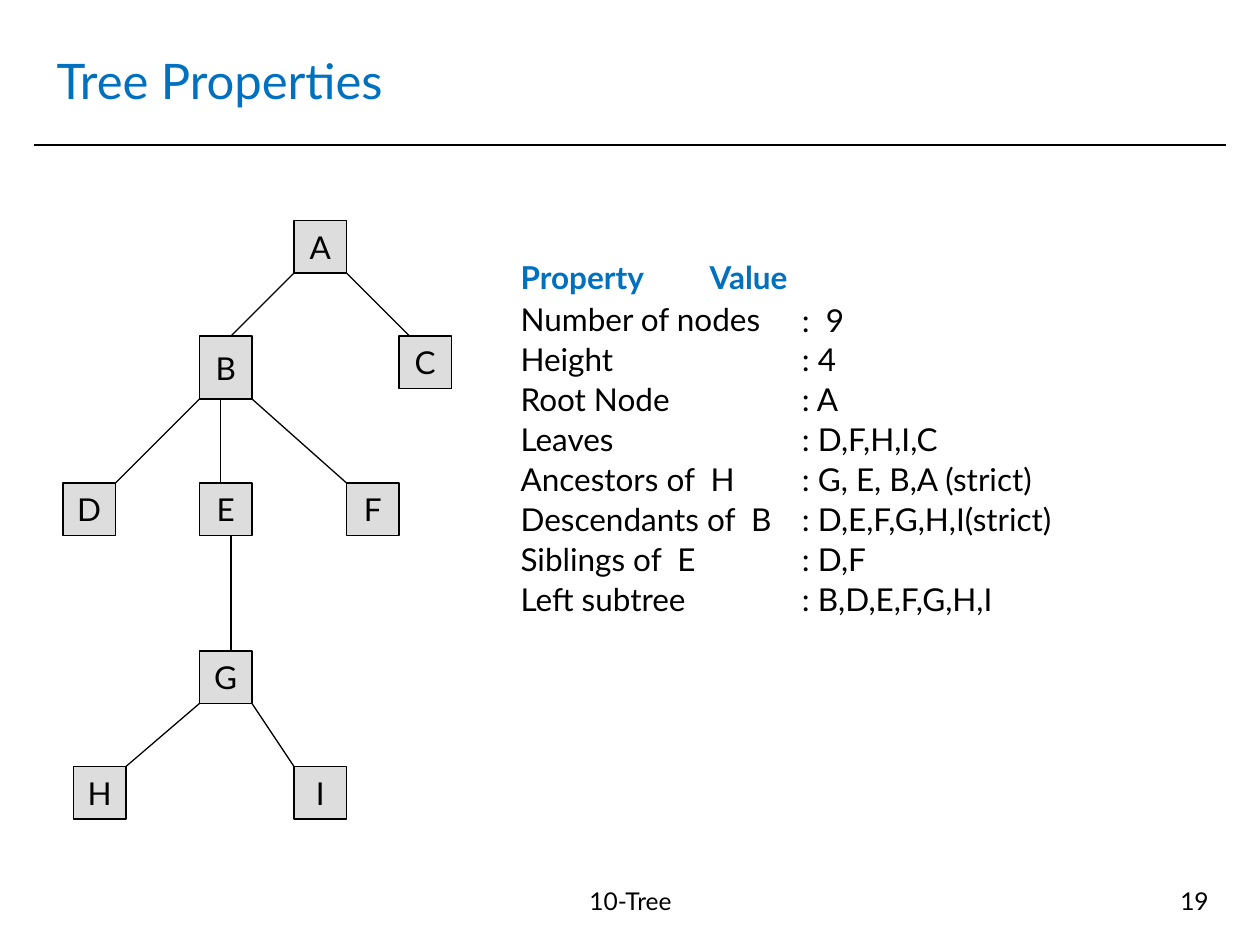
from typing import NamedTuple

from lxml.etree import SubElement
from pptx import Presentation
from pptx.dml.color import RGBColor
from pptx.enum.shapes import MSO_CONNECTOR, MSO_SHAPE
from pptx.enum.text import MSO_ANCHOR, PP_ALIGN
from pptx.oxml.ns import qn
from pptx.util import Emu, Pt

SCALE = 7620
FONT = "Lato"
COLORS = {"ink": "000000", "head": "0070C0", "node": "DDDDDD"}


class Node(NamedTuple):
    name: str
    x: int
    y: int
    h: int = 50


class Edge(NamedTuple):
    x1: int
    y1: int
    x2: int
    y2: int


class Line(NamedTuple):
    text: str
    size: int = 18
    color: str = "ink"
    bold: bool = False
    tight: bool = False
    align: PP_ALIGN = PP_ALIGN.LEFT


class Box(NamedTuple):
    x: int
    y: int
    w: int
    h: int
    lines: list[Line]
    anchor: MSO_ANCHOR = MSO_ANCHOR.TOP


NODES = [
    Node("A", 280, 210),
    Node("B", 190, 320, 60),
    Node("C", 380, 320),
    Node("D", 60, 460),
    Node("E", 190, 460),
    Node("F", 330, 460),
    Node("G", 190, 620),
    Node("H", 70, 730),
    Node("I", 280, 730),
]
EDGES = [
    Edge(280, 260, 220, 320),
    Edge(330, 260, 390, 320),
    Edge(190, 380, 110, 460),
    Edge(210, 380, 210, 460),
    Edge(240, 380, 330, 460),
    Edge(220, 510, 220, 620),
    Edge(190, 670, 120, 730),
    Edge(240, 670, 280, 730),
]
FACTS = [
    ("Number of nodes", ":  9"),
    ("Height", ": 4"),
    ("Root Node", ": A"),
    ("Leaves", ": D,F,H,I,C"),
    ("Ancestors of  H", ": G, E, B,A (strict)"),
    ("Descendants of  B", ": D,E,F,G,H,I(strict)"),
    ("Siblings of  E", ": D,F"),
    ("Left subtree", ": B,D,E,F,G,H,I"),
]
HEAD = Line("Property\t\tValue", color="head", bold=True)
KEYS = [Line(key, tight=True) for key, _ in FACTS]
VALUES = [Line(value, tight=True) for _, value in FACTS]
BOXES = [
    Box(42, 25, 1115, 102, [Line("Tree Properties", 28, "head")], MSO_ANCHOR.MIDDLE),
    Box(402, 838, 397, 62, [Line("10-Tree", 14, align=PP_ALIGN.CENTER)]),
    Box(883, 838, 280, 62, [Line("19", 14, align=PP_ALIGN.RIGHT)]),
    Box(484, 240, 540, 385, [HEAD, *KEYS]),
    Box(752, 293, 294, 328, VALUES),
]


def px(count: int) -> Emu:
    return Emu(count * SCALE)


def rgb(name: str) -> RGBColor:
    return RGBColor.from_string(COLORS[name])


def write(frame, lines: list[Line], anchor: MSO_ANCHOR, wrap: bool) -> None:
    frame.word_wrap = wrap
    frame.vertical_anchor = anchor
    for i, line in enumerate(lines):
        para = frame.add_paragraph() if i else frame.paragraphs[0]
        para.alignment = line.align
        if line.tight:
            para.line_spacing = 0.6
        if i:
            para.space_before = Pt(9.9)
        run = para.add_run()
        run.text = line.text
        run.font.name = FONT
        run.font.size = Pt(line.size)
        run.font.bold = line.bold
        run.font.color.rgb = rgb(line.color)


def draw_box(slide, box: Box) -> None:
    shape = slide.shapes.add_textbox(px(box.x), px(box.y), px(box.w), px(box.h))
    write(shape.text_frame, box.lines, box.anchor, True)


def draw_node(slide, node: Node) -> None:
    shape = slide.shapes.add_shape(
        MSO_SHAPE.RECTANGLE, px(node.x), px(node.y), px(50), px(node.h)
    )
    shape.shadow.inherit = False
    shape.fill.solid()
    shape.fill.fore_color.rgb = rgb("node")
    shape.line.color.rgb = rgb("ink")
    shape.line.width = Pt(0.75)
    label = Line(node.name, align=PP_ALIGN.CENTER)
    write(shape.text_frame, [label], MSO_ANCHOR.MIDDLE, False)


def draw_edge(slide, edge: Edge, width: float = 0.75) -> None:
    line = slide.shapes.add_connector(MSO_CONNECTOR.STRAIGHT, *map(px, edge))
    line.line.color.rgb = rgb("ink")
    line.line.width = Pt(width)
    SubElement(line._element.spPr, qn("a:effectLst"))


def main() -> None:
    deck = Presentation()
    deck.slide_width, deck.slide_height = px(1200), px(900)
    slide = deck.slides.add_slide(deck.slide_layouts[6])
    draw_edge(slide, Edge(32, 138, 1168, 138), 1)
    for node in NODES:
        draw_node(slide, node)
    for edge in EDGES:
        draw_edge(slide, edge)
    for box in BOXES:
        draw_box(slide, box)
    deck.save("out.pptx")


if __name__ == "__main__":
    main()
